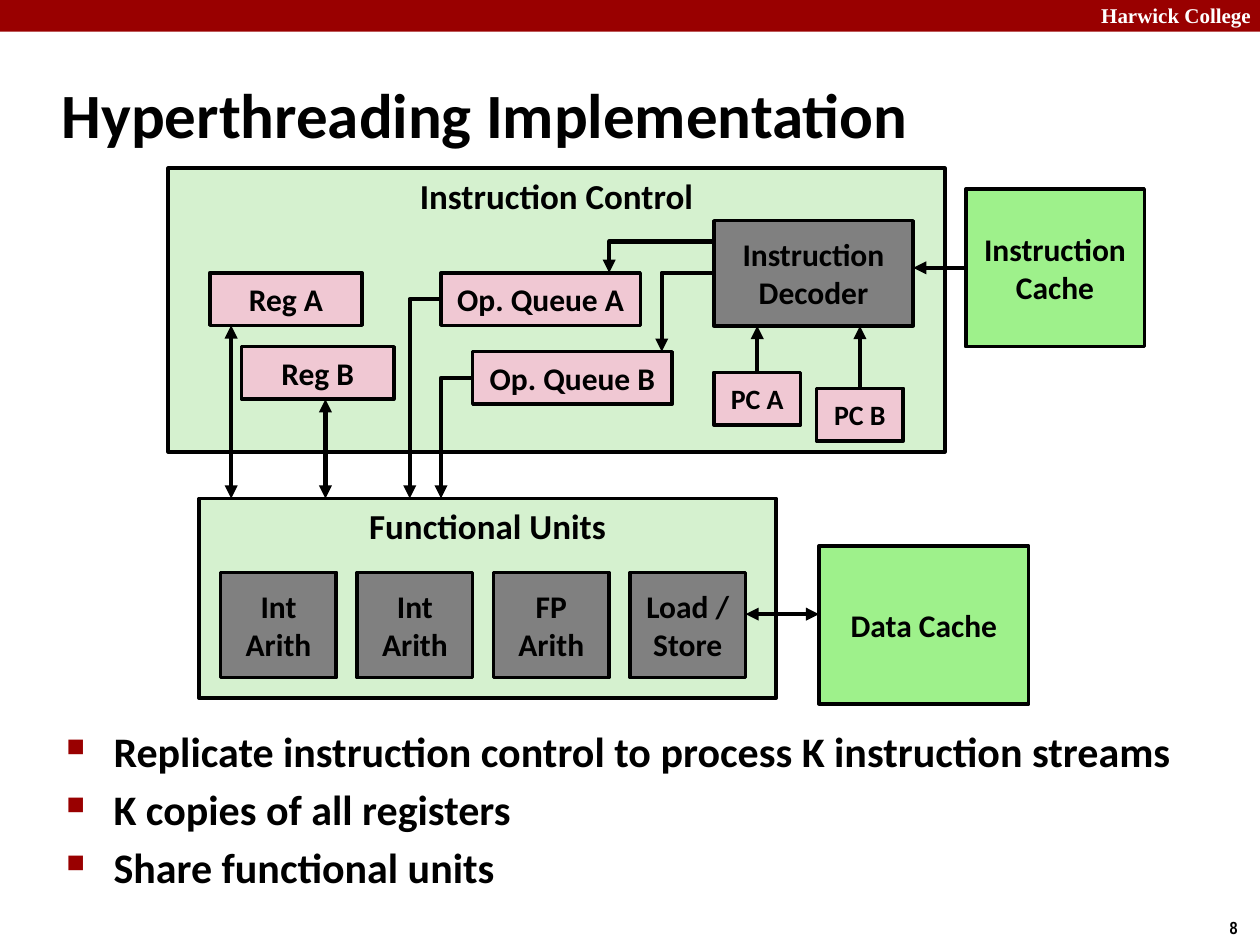
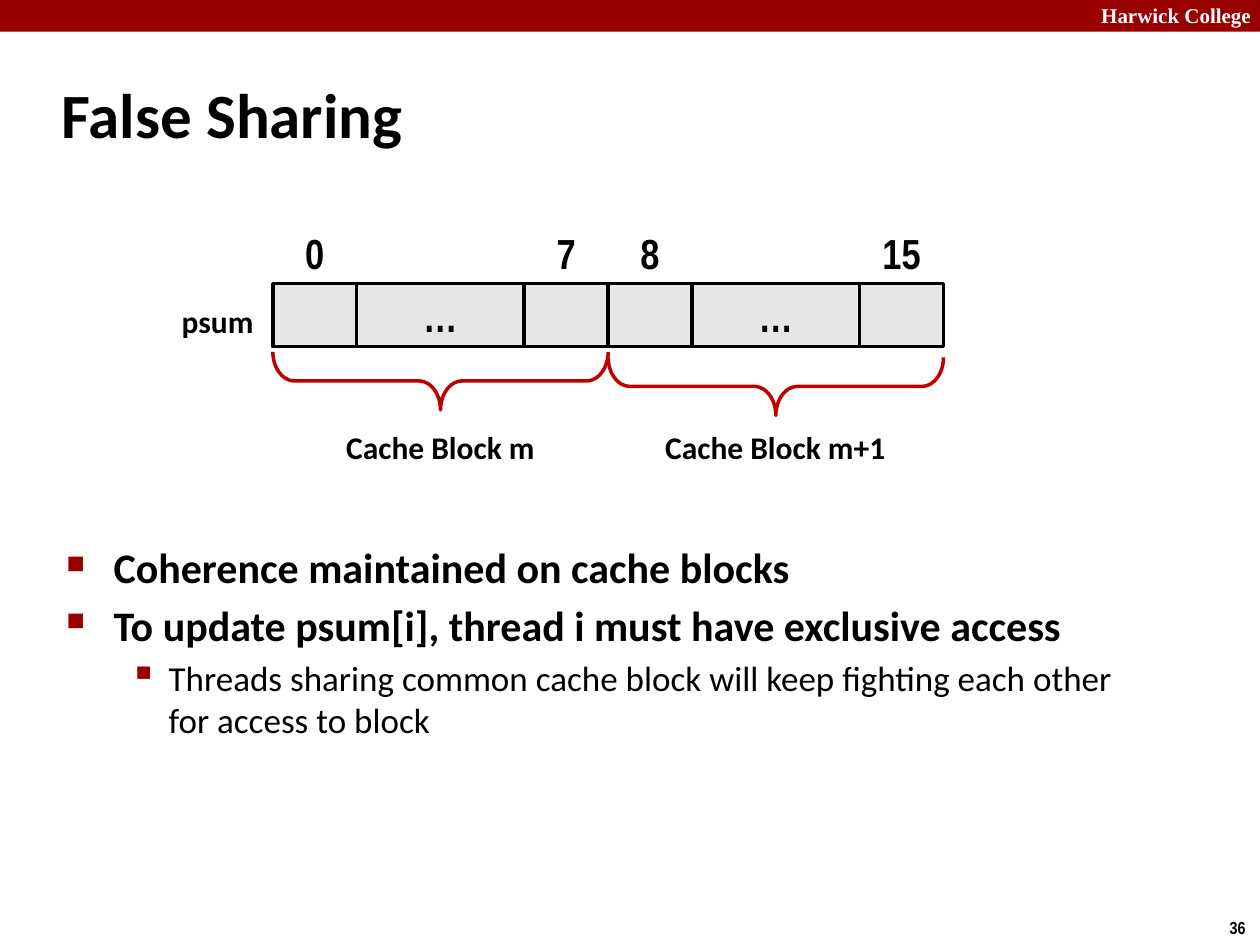
from lxml.etree import SubElement
from pptx import Presentation
from pptx.dml.color import RGBColor
from pptx.enum.shapes import MSO_CONNECTOR, MSO_SHAPE
from pptx.enum.text import MSO_ANCHOR, MSO_AUTO_SIZE, PP_ALIGN
from pptx.oxml.ns import qn
from pptx.util import Cm, Pt

# Shared look
RED, BLACK, WHITE = "990000", "000000", "FFFFFF"
PALE, GREEN, PINK = "D5F1CF", "9EF18B", "F0C8D3"
GRAY, CELL, BRACE = "808080", "E6E6E6", "C00000"
BODY, NARROW, SERIF = "Calibri", "Arial Narrow", "Times New Roman"
LEFT, MID, RIGHT = PP_ALIGN.LEFT, PP_ALIGN.CENTER, PP_ALIGN.RIGHT
BULLETS = [  # char, percent, margin and hang in cm, size, bold
    ("■", 60, 0.95, 0.95, 24, True),
    ("▪", 110, 2.06, 0.79, 20, False),
]


def color(code):
    return RGBColor.from_string(code)


def add_run(para, words, size, font=BODY, ink=BLACK, bold=True):
    run = para.add_run()
    run.text = words
    run.font.size = Pt(size)
    run.font.name = font
    run.font.bold = bold
    run.font.color.rgb = color(ink)


def write(frame, lines, size, font=BODY, ink=BLACK, align=MID):
    for i, words in enumerate(lines.split("\n")):
        para = frame.add_paragraph() if i else frame.paragraphs[0]
        para.alignment = align
        add_run(para, words, size, font, ink)


def indent(para, margin, hang):
    props = para._p.get_or_add_pPr()
    props.set("marL", str(Cm(margin)))
    props.set("indent", str(-Cm(hang)))
    return props


def add_box(slide, place, fill, lines="", size=18, font=BODY,
            anchor=MSO_ANCHOR.MIDDLE, edge=BLACK):
    box = slide.shapes.add_shape(MSO_SHAPE.RECTANGLE, *map(Cm, place))
    box.shadow.inherit = False
    box.fill.solid()
    box.fill.fore_color.rgb = color(fill)
    if edge:
        box.line.color.rgb = color(edge)
        box.line.width = Pt(2)
    else:
        box.line.fill.background()
    if lines:
        box.text_frame.vertical_anchor = anchor
        write(box.text_frame, lines, size, font)
    return box


def add_label(slide, place, words, size=18, font=BODY, ink=BLACK,
              align=MID, anchor=MSO_ANCHOR.TOP, wrap=False):
    frame = slide.shapes.add_textbox(*map(Cm, place)).text_frame
    frame.word_wrap = wrap
    frame.vertical_anchor = anchor
    write(frame, words, size, font, ink, align)
    return frame


def add_arrow(slide, start, end, heads, bent=False):
    kind = MSO_CONNECTOR.ELBOW if bent else MSO_CONNECTOR.STRAIGHT
    link = slide.shapes.add_connector(kind, *map(Cm, start + end))
    link.line.color.rgb = color(BLACK)
    link.line.width = Pt(2.5)
    props = link._element.spPr
    if bent:  # one corner: left first, then down
        props.find(qn("a:prstGeom")).set("prst", "bentConnector2")
        frame = props.find(qn("a:xfrm"))
        frame.attrib.pop("flipH", None)
        frame.set("rot", "10800000")
        frame.set("flipV", "1")
    stroke = props.find(qn("a:ln"))
    for head in heads:
        SubElement(stroke, qn(f"a:{head}"), type="triangle")
    SubElement(props, qn("a:effectLst"))
    return link


def add_bullets(slide, place, items):
    frame = slide.shapes.add_textbox(*map(Cm, place)).text_frame
    frame.word_wrap = True
    for i, (level, words) in enumerate(items):
        char, scale, margin, hang, size, bold = BULLETS[level]
        para = frame.add_paragraph() if i else frame.paragraphs[0]
        para.level = level
        para.space_before = Pt(0.18 * size)
        props = indent(para, margin, hang)
        tint = SubElement(props, qn("a:buClr"))
        SubElement(tint, qn("a:srgbClr"), val=RED)
        SubElement(props, qn("a:buSzPct"), val=str(scale * 1000))
        SubElement(props, qn("a:buChar"), char=char)
        add_run(para, words, size, bold=bold)


def add_slide(deck, title, number, width):
    slide = deck.slides.add_slide(deck.slide_layouts[5])
    # Band and page number
    add_box(slide, (0, 0, 25.4, 0.64), RED, edge=None)
    add_label(slide, (21.95, -0.08, 3.63, 0.76), "Harwick College", 12,
              SERIF, WHITE, LEFT, wrap=True)
    page = add_label(slide, (24.54, 18.36, 0.86, 0.69), number, 10, NARROW,
                     align=LEFT, wrap=True)
    page.margin_right = 0
    # Title
    head = slide.shapes.title
    head.left, head.top, head.width, head.height = map(
        Cm, (0.99, 1.22, width, 2.11))
    frame = head.text_frame
    frame.auto_size = MSO_AUTO_SIZE.NONE
    frame.vertical_anchor = MSO_ANCHOR.MIDDLE
    write(frame, title, 36, align=LEFT)
    indent(frame.paragraphs[0], 0.33, 0.33)
    return slide


def draw_threads(deck):
    slide = add_slide(deck, "Hyperthreading Implementation", "8", 22.94)
    add_bullets(slide, (1.09, 14.5, 23.24, 3.4), [
        (0, "Replicate instruction control to process K instruction streams"),
        (0, "K copies of all registers"),
        (0, "Share functional units"),
    ])

    # Functional units
    base = 10.05
    add_box(slide, (4.01, base, 11.64, 4.02), PALE, "Functional Units", 20,
            anchor=MSO_ANCHOR.TOP)
    units = ["Int\nArith", "Int\nArith", "FP\nArith", "Load /\nStore"]
    for i, name in enumerate(units):
        add_box(slide, (4.45 + 2.75 * i, 11.54, 2.33, 2.12), GRAY, name)

    # Instruction control
    add_box(slide, (3.39, 3.39, 15.66, 5.72), PALE, "Instruction Control", 20,
            anchor=MSO_ANCHOR.TOP)
    add_box(slide, (14.39, 4.45, 4.02, 2.12), GRAY, "Instruction Decoder")
    for left, top, width, name in [
        (4.23, 5.5, 3.07, "Reg A"), (4.87, 6.99, 3.07, "Reg B"),
        (8.89, 5.5, 4.02, "Op. Queue A"), (9.53, 7.09, 4.02, "Op. Queue B"),
    ]:
        add_box(slide, (left, top, width, 1.06), PINK, name)

    # Caches
    add_box(slide, (16.51, 11.01, 4.23, 3.18), GREEN, "Data Cache")
    cache = add_box(slide, (19.47, 3.81, 3.6, 3.18), GREEN,
                    "Instruction\nCache")

    # Program counters feed the decoder
    for left, top, name in [(14.39, 7.51, "PC A"), (16.46, 7.83, "PC B")]:
        counter = add_box(slide, (left, top, 1.75, 1.06), PINK, name, 16)
        mid = left + 0.875
        link = add_arrow(slide, (mid, 6.57), (mid, top), ["headEnd"])
        link.end_connect(counter, 0)

    # Straight arrows
    link = add_arrow(slide, (18.41, 5.4), (19.47, 5.4), ["headEnd"])
    link.end_connect(cache, 1)
    for start, end in [
        ((4.66, 6.56), (4.66, base)), ((6.56, 8.05), (6.56, base)),
        ((16.51, 12.38), (15.03, 12.38)),
    ]:
        add_arrow(slide, start, end, ["headEnd", "tailEnd"])

    # Bent arrows to and from the queues
    for start, end in [
        ((14.39, 4.87), (12.28, 5.5)), ((14.39, 5.5), (13.34, 7.09)),
        ((8.89, 6.03), (8.26, base)), ((9.53, 7.62), (8.89, base)),
    ]:
        add_arrow(slide, start, end, ["tailEnd"], bent=True)


def add_brace(slide, center, middle, span):
    deep = 1.17
    brace = slide.shapes.add_shape(
        MSO_SHAPE.RIGHT_BRACE, Cm(center - deep / 2), Cm(middle - span / 2),
        Cm(deep), Cm(span))
    brace.rotation = 90
    brace.adjustments[0] = 0.374
    brace.shadow.inherit = False
    brace.fill.background()
    brace.line.color.rgb = color(BRACE)
    brace.line.width = Pt(2)


def draw_sharing(deck):
    slide = add_slide(deck, "False Sharing", "36", 21.08)
    add_bullets(slide, (1.09, 10.8, 21.95, 6.81), [
        (0, "Coherence maintained on cache blocks"),
        (0, "To update psum[i], thread i must have exclusive access"),
        (1, "Threads sharing common cache block will keep fighting each "
            "other for access to block"),
    ])

    # Array cells: two blocks of first, gap, last
    unit, left, high = 1.69, 5.5, 1.27
    for first, last, middle in [("0", "7", 7.68), ("8", "15", 7.79)]:
        add_brace(slide, left + 2 * unit, middle, 4 * unit)
        for span, index in [(1, first), (2, ""), (1, last)]:
            width = span * unit
            box = add_box(slide, (left, 5.72, width, high), CELL,
                          "" if index else "…", 24, NARROW)
            box.text_frame.word_wrap = False
            if index:
                add_label(slide, (left, 4.45, width, high), index, 24, NARROW,
                          anchor=MSO_ANCHOR.MIDDLE)
            left += width

    # Names
    add_label(slide, (6.71, 8.51, 4.34, 1.02), "Cache Block m")
    add_label(slide, (13.13, 8.51, 5, 1.02), "Cache Block m+1")
    add_label(slide, (3.38, 5.97, 1.98, 1.02), "psum", align=RIGHT)


def main():
    deck = Presentation()
    deck.slide_width, deck.slide_height = Cm(25.4), Cm(19.05)
    draw_threads(deck)
    draw_sharing(deck)
    deck.save("out.pptx")


if __name__ == "__main__":
    main()
